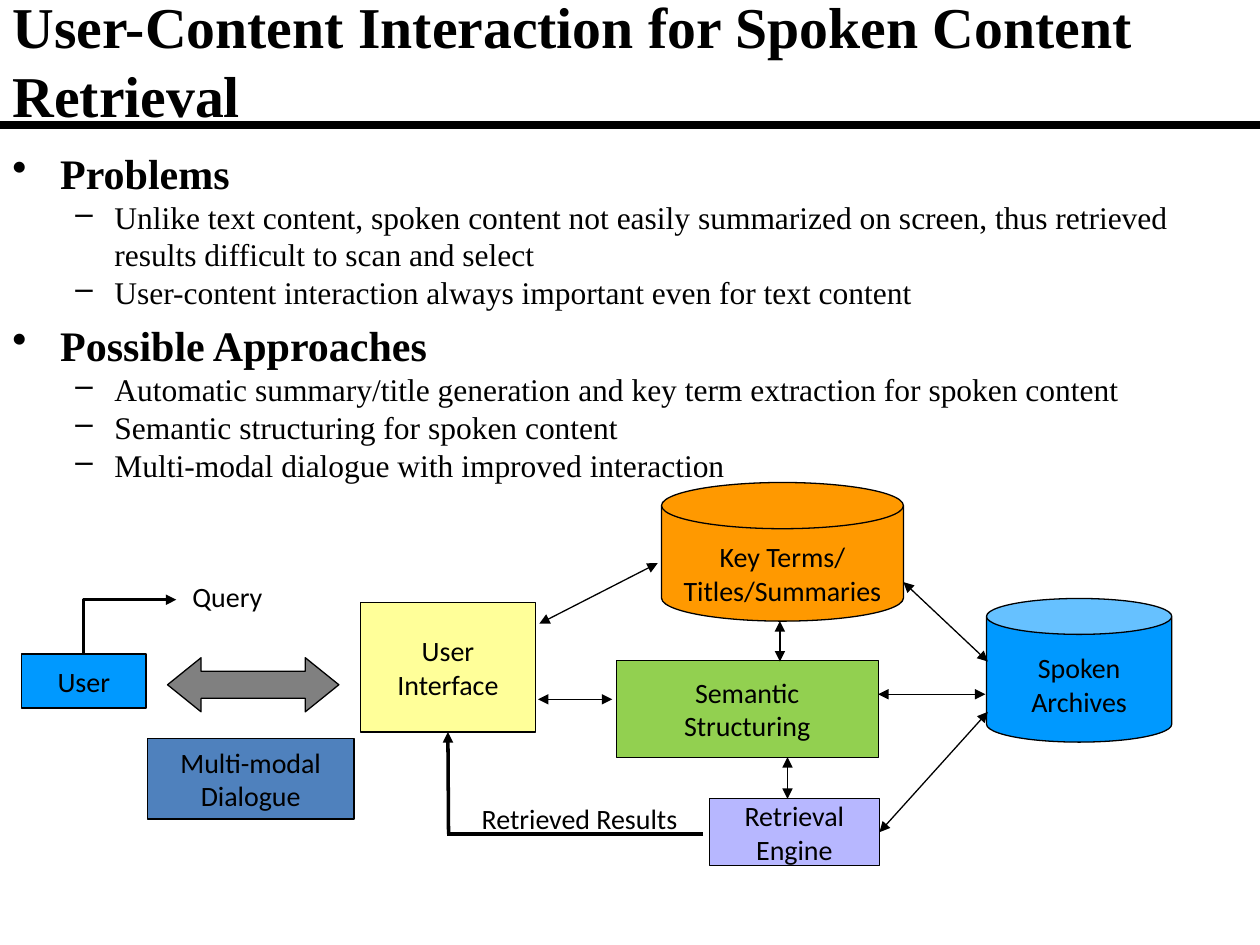
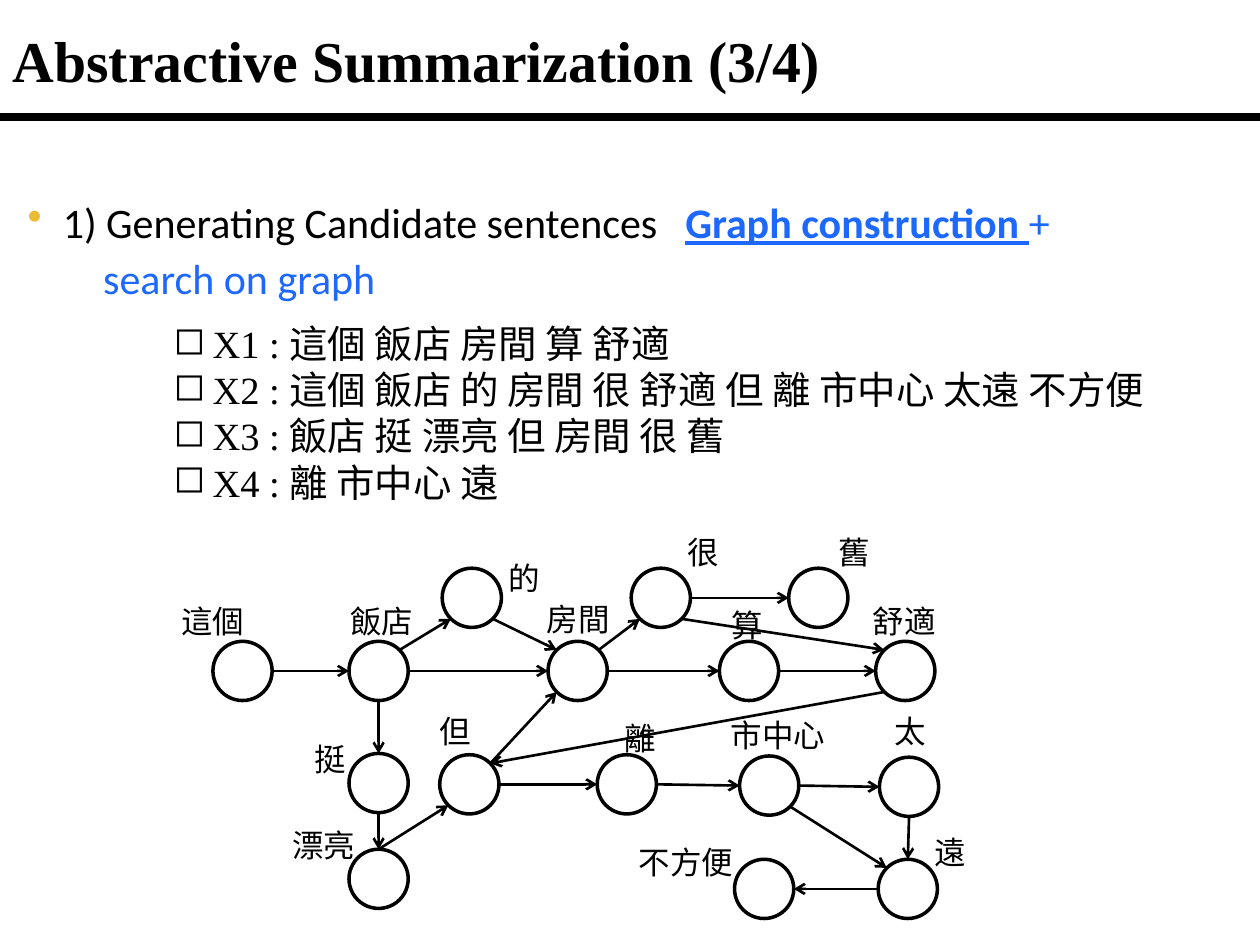
from lxml import etree
from pptx import Presentation
from pptx.dml.color import RGBColor
from pptx.enum.shapes import MSO_CONNECTOR as CONN, MSO_SHAPE as SHAPE
from pptx.enum.text import MSO_ANCHOR as ANCHOR, MSO_AUTO_SIZE as AUTO, PP_ALIGN as ALIGN
from pptx.oxml.ns import qn
from pptx.util import Inches, Pt

COLORS = {
    "black": "000000", "white": "FFFFFF", "orange": "FF9900", "blue": "0099FF",
    "steel": "4F81BD", "gray": "808080", "yellow": "FFFF99", "green": "92D050",
    "lilac": "B7B7FF", "gold": "EABC33", "link": "1D68FF",
}
SERIF, SANS, LABEL = "Times New Roman", "Calibri", "Arial"


def rgb(name):
    return RGBColor.from_string(COLORS[name])


def add_run(p, text, size=16, font=SANS, color="black", bold=False, underline=False):
    r = p.add_run()
    r.text = text
    r.font.size, r.font.name = Pt(size), font
    r.font.bold, r.font.underline = bold, underline
    r.font.color.rgb = rgb(color)
    return r


def indent(p, left, first=0, bullet=None, bullet_color=None, tab=None):
    pPr = p._p.get_or_add_pPr()
    pPr.set("marL", str(Inches(left)))
    pPr.set("indent", str(Inches(first)))
    if bullet_color:
        clr = etree.SubElement(pPr, qn("a:buClr"))
        etree.SubElement(clr, qn("a:srgbClr"), val=COLORS[bullet_color])
    if bullet:
        etree.SubElement(pPr, qn("a:buChar"), char=bullet)
    if tab:
        tabs = etree.SubElement(pPr, qn("a:tabLst"))
        etree.SubElement(tabs, qn("a:tab"), pos=str(Inches(tab)), algn="l")


class Deck:
    def __init__(self):
        self.prs = Presentation()
        self.prs.slide_width, self.prs.slide_height = Inches(10), Inches(7.5)
        self.s = None

    def slide(self, title, rule_y):
        """Start a slide with its title and the heavy rule below it."""
        self.s = self.prs.slides.add_slide(self.prs.slide_layouts[5])
        sp = self.s.shapes.title
        sp.left, sp.top, sp.width, sp.height = map(Inches, (0, 0.08, 9.99, 0.79))
        tf = sp.text_frame
        tf.auto_size, tf.vertical_anchor = AUTO.NONE, ANCHOR.MIDDLE
        tf.paragraphs[0].alignment = ALIGN.LEFT
        add_run(tf.paragraphs[0], title, 33, SERIF, bold=True)
        self.line((0, rule_y), (10, rule_y), 4.5)

    def text_box(self, x, y, w, h):
        tf = self.s.shapes.add_textbox(*map(Inches, (x, y, w, h))).text_frame
        tf.word_wrap = True
        return tf

    def label(self, text, x, y, w, h, size=16, font=SANS, align=ALIGN.CENTER):
        tf = self.text_box(x, y, w, h)
        tf.vertical_anchor = ANCHOR.MIDDLE
        tf.paragraphs[0].alignment = align
        add_run(tf.paragraphs[0], text, size, font)

    def shape(self, kind, x, y, w, h, fill=None, lines=(), width=0.75, anchor=ANCHOR.MIDDLE):
        sp = self.s.shapes.add_shape(kind, *map(Inches, (x, y, w, h)))
        sp.shadow.inherit = False
        if fill:
            sp.fill.solid()
            sp.fill.fore_color.rgb = rgb(fill)
        else:
            sp.fill.background()
        sp.line.color.rgb, sp.line.width = rgb("black"), Pt(width)
        tf = sp.text_frame
        tf.vertical_anchor = anchor
        for i, text in enumerate(lines):
            p = tf.add_paragraph() if i else tf.paragraphs[0]
            p.alignment = ALIGN.CENTER
            add_run(p, text)
        return sp

    def line(self, start, end, width=0.75, head=None, tail=None, kind=CONN.STRAIGHT):
        cx = self.s.shapes.add_connector(kind, *map(Inches, (*start, *end)))
        cx.line.color.rgb, cx.line.width = rgb("black"), Pt(width)
        ln = cx.line._get_or_add_ln()
        for tag, arrow in (("a:headEnd", head), ("a:tailEnd", tail)):
            if arrow:
                etree.SubElement(ln, qn(tag), type=arrow)
        etree.SubElement(cx._element.spPr, qn("a:effectLst"))
        return cx

    def double_arrow(self, start, end):
        return self.line(start, end, head="triangle", tail="triangle")


# Slide 1: user-content interaction
OUTLINE = [
    ("Problems", [
        "Unlike text content, spoken content not easily summarized on screen, "
        "thus retrieved results difficult to scan and select",
        "User-content interaction always important even for text content"]),
    ("Possible Approaches", [
        "Automatic summary/title generation and key term extraction for spoken content",
        "Semantic structuring for spoken content",
        "Multi-modal dialogue with improved interaction"]),
]


def interaction_slide(d):
    d.slide("User-Content Interaction for Spoken Content Retrieval", 0.99)

    # Outline
    tf = d.text_box(0, 1.12, 10, 2.77)
    for i, (heading, points) in enumerate(OUTLINE):
        p = tf.add_paragraph() if i else tf.paragraphs[0]
        indent(p, 0.38, -0.38, "•")
        if i:
            p.space_before = Pt(5)
        add_run(p, heading, 24, SERIF, bold=True)
        for point in points:
            p = tf.add_paragraph()
            p.level = 1
            indent(p, 0.81, -0.31, "–")
            add_run(p, point, 18, SERIF)

    # Components
    terms = d.shape(SHAPE.FLOWCHART_MAGNETIC_DISK, 5.25, 3.83, 1.92, 1.1, "orange",
                    ["Key Terms/", "Titles/Summaries"])
    terms.text_frame.margin_top, terms.text_frame.margin_bottom = Inches(0.2), Inches(0.04)
    terms.text_frame.word_wrap = False
    user = d.shape(SHAPE.RECTANGLE, 0.17, 5.19, 0.99, 0.43, "blue", ["User"])
    exchange = d.shape(SHAPE.LEFT_RIGHT_ARROW, 1.33, 5.22, 1.36, 0.43, "gray")
    exchange.adjustments[0], exchange.adjustments[1] = 0.5, 0.62
    d.shape(SHAPE.RECTANGLE, 1.17, 5.86, 1.64, 0.64, "steel", ["Multi-modal Dialogue"])
    interface = d.shape(SHAPE.RECTANGLE, 2.86, 4.78, 1.39, 1.03, "yellow", ["User", "Interface"])
    d.shape(SHAPE.RECTANGLE, 4.89, 5.24, 2.08, 0.77, "green", ["Semantic", "Structuring"])
    engine = d.shape(SHAPE.RECTANGLE, 5.63, 6.34, 1.35, 0.53, "lilac", ["Retrieval", "Engine"])
    d.shape(SHAPE.CAN, 7.83, 4.75, 1.47, 1.14, "blue", ["Spoken", "Archives"],
            anchor=ANCHOR.BOTTOM)

    # Query and retrieved results
    d.label("Query", 1.4, 4.55, 0.81, 0.37)
    query = d.line((1.4, 4.76), (0.66, 5.19), 2, head="triangle", kind=CONN.ELBOW)
    query._element.spPr.find(qn("a:prstGeom")).set("prst", "bentConnector2")
    query.end_connect(user, 0)
    d.label("Retrieved Results", 3.53, 6.31, 2.14, 0.37)
    d.line((5.58, 6.62), (3.55, 6.62), 2)
    results = d.line((3.56, 6.62), (3.56, 5.81), 2, tail="triangle")
    results.end_connect(interface, 2)

    # Two-way links between components
    for start, end in [((7.17, 4.62), (7.84, 5.25)), ((5.22, 4.47), (4.28, 4.95)),
                       ((6.19, 4.93), (6.19, 5.25)), ((6.25, 6.01), (6.25, 6.34)),
                       ((4.27, 5.55), (4.86, 5.55)), ((6.97, 5.51), (7.82, 5.51))]:
        d.double_arrow(start, end)
    d.double_arrow((6.98, 6.6), (7.84, 5.65)).begin_connect(engine, 3)


# Slide 2: word graph
SENTENCES = ["這個 飯店 房間 算 舒適", "這個 飯店 的 房間 很 舒適 但 離 市中心 太遠 不方便",
             "飯店 挺 漂亮 但 房間 很 舊", "離 市中心 遠"]
NODE_SIZE = 0.47
# word: (node left, node top, label left, label top)
NODES = {
    "這個": (1.69, 5.09, 1.34, 4.73), "飯店": (2.77, 5.09, 2.68, 4.73),
    "房間": (4.35, 5.09, 4.24, 4.71), "算": (5.71, 5.09, 5.71, 4.76),
    "舒適": (6.95, 5.09, 6.83, 4.73), "的": (3.51, 4.51, 3.94, 4.39),
    "很": (5.01, 4.51, 5.36, 4.18), "舊": (6.26, 4.51, 6.56, 4.18),
    "挺": (2.77, 5.98, 2.4, 5.82), "漂亮": (2.77, 6.74, 2.22, 6.51),
    "但": (3.49, 5.99, 3.39, 5.6), "離": (4.74, 5.99, 4.86, 5.66),
    "市中心": (5.87, 6, 5.7, 5.63), "太": (6.98, 6.01, 7, 5.6),
    "遠": (6.97, 6.82, 7.32, 6.56), "不方便": (5.83, 6.82, 4.97, 6.64),
}
# (from word, side, to word, side)
EDGES = [
    ("這個", "E", "飯店", "W"), ("飯店", "E", "房間", "W"), ("房間", "E", "算", "W"),
    ("算", "E", "舒適", "W"), ("很", "E", "舊", "W"), ("但", "E", "離", "W"),
    ("離", "E", "市中心", "W"), ("市中心", "E", "太", "W"), ("太", "S", "遠", "N"),
    ("遠", "W", "不方便", "E"), ("飯店", "S", "挺", "N"), ("挺", "S", "漂亮", "N"),
    ("漂亮", "N", "但", "SW"), ("但", "NE", "房間", "SW"), ("舒適", "SW", "但", "NE"),
    ("房間", "NE", "很", "SW"), ("很", "SE", "舒適", "NW"), ("飯店", "NE", "的", "SW"),
    ("的", "SE", "房間", "NW"), ("市中心", "SE", "遠", "NW"),
]


def node_point(word, side):
    """Point on a node's circle in a compass direction."""
    x, y = NODES[word][:2]
    reach = NODE_SIZE / 2 * (0.71 if len(side) == 2 else 1)
    dx = ("E" in side) - ("W" in side)
    dy = ("S" in side) - ("N" in side)
    return x + NODE_SIZE / 2 + dx * reach, y + NODE_SIZE / 2 + dy * reach


def graph_slide(d):
    d.slide("Abstractive Summarization (3/4)", 0.93)

    # Step heading
    tf = d.text_box(0, 1.51, 9.88, 1)
    p = tf.paragraphs[0]
    indent(p, 0.4, -0.28, "•", "gold", tab=5.34)
    add_run(p, "1) Generating Candidate sentences\t", 24)
    add_run(p, "Graph construction ", 24, color="link", bold=True, underline=True)
    add_run(p, "+", 24, color="link")
    p = tf.add_paragraph()
    indent(p, 0.72)
    p.space_before = Pt(3)
    add_run(p, "search on graph", 24, color="link")

    # Candidate sentences
    tf = d.text_box(1.28, 2.49, 8.13, 1.58)
    for i, sentence in enumerate(SENTENCES):
        p = tf.add_paragraph() if i else tf.paragraphs[0]
        indent(p, 0.31, -0.31, "◻")
        add_run(p, f"X{i + 1} : {sentence}", 22, SERIF)

    # Word graph
    for word, (x, y, label_x, label_y) in NODES.items():
        d.shape(SHAPE.OVAL, x, y, NODE_SIZE, NODE_SIZE, width=2)
        d.label(word, label_x, label_y, 0.25 * len(word) + 0.3, 0.4, 18, LABEL, ALIGN.LEFT)
    for source, out_side, target, in_side in EDGES:
        d.line(node_point(source, out_side), node_point(target, in_side), 1.5, tail="arrow")


def main():
    d = Deck()
    interaction_slide(d)
    graph_slide(d)
    d.prs.save("out.pptx")


if __name__ == "__main__":
    main()
